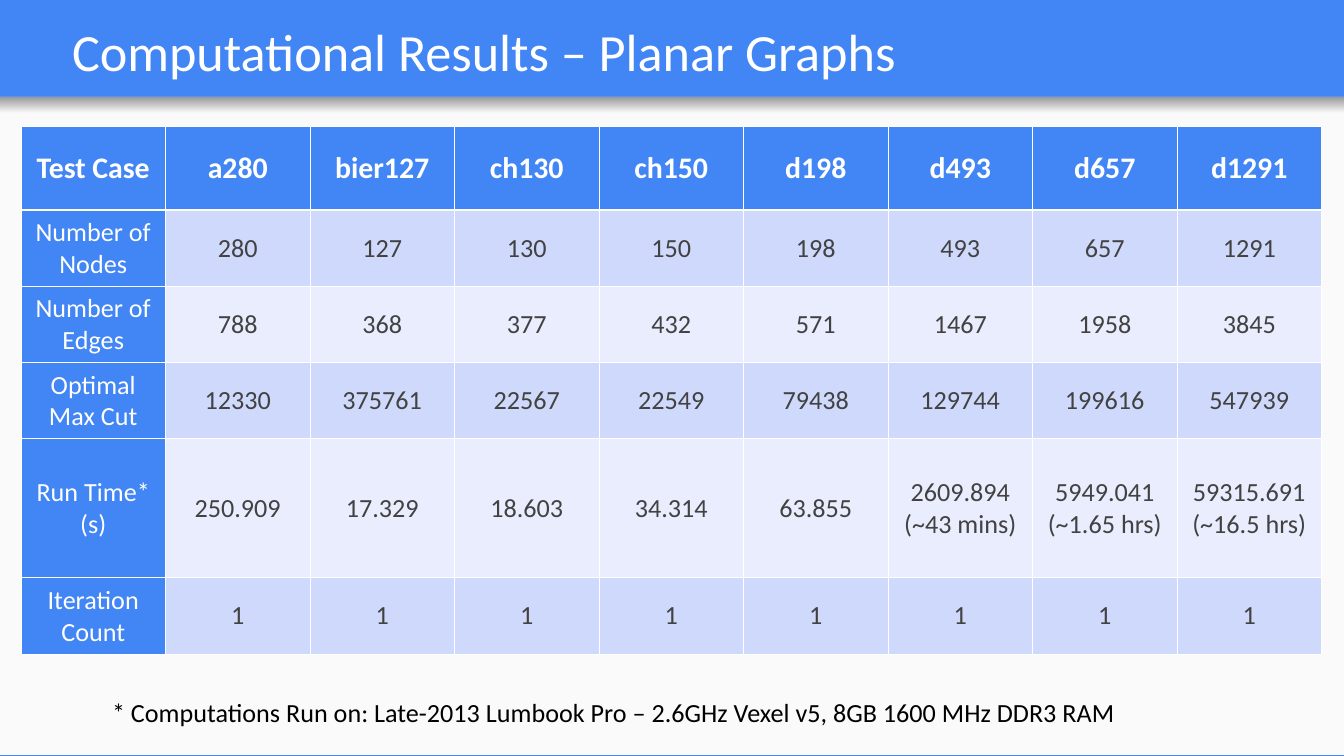
from dataclasses import dataclass
from pptx import Presentation
from pptx.dml.color import RGBColor
from pptx.enum.shapes import MSO_SHAPE
from pptx.enum.text import MSO_ANCHOR, PP_ALIGN
from pptx.oxml.ns import qn
from pptx.util import Pt
from lxml.etree import SubElement

WIDTH, HEIGHT = 1344, 756
SCALE = 9144000 / WIDTH


@dataclass(frozen=True)
class Theme:
    font: str = "Calibri"
    blue: str = "4285F4"
    paper: str = "FAFAFA"
    shade_dark: str = "999999"
    shade_light: str = "F9F9F9"
    bands: tuple = ("CFD9FB", "E9EDFD")
    white: str = "FFFFFF"
    black: str = "000000"
    value: str = "424242"
    title_size: int = 28
    header_size: int = 16
    body_size: int = 14
    rule: float = 0.45
    header_rule: float = 1.47


THEME = Theme()

RESULTS = [
    ["Test Case", "a280", "bier127", "ch130", "ch150", "d198", "d493", "d657", "d1291"],
    ["Number of Nodes", "280", "127", "130", "150", "198", "493", "657", "1291"],
    ["Number of Edges", "788", "368", "377", "432", "571", "1467", "1958", "3845"],
    ["Optimal Max Cut", "12330", "375761", "22567", "22549", "79438", "129744",
     "199616", "547939"],
    ["Run Time* (s)", "250.909", "17.329", "18.603", "34.314", "63.855",
     "2609.894\n(~43 mins)", "5949.041\n(~1.65 hrs)", "59315.691\n(~16.5 hrs)"],
    ["Iteration Count"] + ["1"] * 8,
]
ROW_HEIGHTS = [84, 76, 76, 76, 139, 76]


def px(length):
    return round(length * SCALE)


def paint(fill, color):
    fill.solid()
    fill.fore_color.rgb = RGBColor.from_string(color)


def write(frame, text, *, size, color, bold=False, align=PP_ALIGN.LEFT):
    for index, line in enumerate(text.split("\n")):
        paragraph = frame.add_paragraph() if index else frame.paragraphs[0]
        paragraph.alignment = align
        run = paragraph.add_run()
        run.text = line
        run.font.name = THEME.font
        run.font.size = Pt(size)
        run.font.bold = bold
        run.font.color.rgb = RGBColor.from_string(color)


def add_band(slide, left, top, width, height):
    band = slide.shapes.add_shape(MSO_SHAPE.RECTANGLE, px(left), px(top), px(width), px(height))
    band.shadow.inherit = False
    band.line.fill.background()
    return band


def add_label(slide, left, top, width, height, text, *, anchor, inset, **text_format):
    label = slide.shapes.add_textbox(px(left), px(top), px(width), px(height))
    frame = label.text_frame
    frame.word_wrap = True
    frame.vertical_anchor = anchor
    frame.margin_left = frame.margin_right = px(13)
    frame.margin_top = frame.margin_bottom = px(inset)
    write(frame, text, **text_format)


def add_backdrop(slide, left, top, width, height):
    paint(slide.background.fill, THEME.blue)
    # Pale content area
    paint(add_band(slide, left, top, width, height).fill, THEME.paper)
    # Soft shade beneath the title bar
    shade = add_band(slide, left, top, width, 16).fill
    shade.gradient()
    shade.gradient_angle = 270
    for stop, color, position in zip(shade.gradient_stops,
                                     (THEME.shade_dark, THEME.shade_light), (0, 1)):
        stop.color.rgb = RGBColor.from_string(color)
        stop.position = position


def set_borders(cell, **widths):
    properties = cell._tc.get_or_add_tcPr()
    for index, side in enumerate("LRTB"):
        border = properties.makeelement(qn(f"a:ln{side}"),
                                        {"w": str(int(Pt(widths.get(side, THEME.rule))))})
        solid = SubElement(border, qn("a:solidFill"))
        SubElement(solid, qn("a:srgbClr"), val=THEME.white)
        properties.insert(index, border)


def add_results(slide, left, top, width, row_heights, results):
    columns = len(results[0])
    table = slide.shapes.add_table(len(results), columns, px(left), px(top),
                                   px(width), px(sum(row_heights))).table
    for column in table.columns:
        column.width = px(width / columns)
    for row, (height, entries) in enumerate(zip(row_heights, results)):
        table.rows[row].height = px(height)
        for column, entry in enumerate(entries):
            cell = table.cell(row, column)
            header = row == 0
            heading = header or column == 0
            cell.vertical_anchor = MSO_ANCHOR.MIDDLE
            paint(cell.fill, THEME.blue if heading else THEME.bands[(row - 1) % 2])
            write(cell.text_frame, entry, bold=header, align=PP_ALIGN.CENTER,
                  size=THEME.header_size if header else THEME.body_size,
                  color=THEME.white if heading else THEME.value)
            # The rule under the header is heavier
            set_borders(cell, **({"B": THEME.header_rule} if header
                                 else {"T": THEME.header_rule} if row == 1 else {}))


def main():
    deck = Presentation()
    deck.slide_width, deck.slide_height = px(WIDTH), px(HEIGHT)
    slide = deck.slides.add_slide(deck.slide_layouts[6])

    add_backdrop(slide, 0, 97, WIDTH, HEIGHT - 98)
    # Title
    add_label(slide, 59, 0, 1185, 95, "Computational Results – Planar Graphs",
              anchor=MSO_ANCHOR.BOTTOM, inset=13,
              size=THEME.title_size, color=THEME.white)
    # Footnote on the run times
    add_label(slide, 99, 689, 1160, 46,
              "* Computations Run on: Late-2013 Lumbook Pro – 2.6GHz Vexel v5, "
              "8GB 1600 MHz DDR3 RAM",
              anchor=MSO_ANCHOR.TOP, inset=7,
              size=THEME.body_size, color=THEME.black)
    # Results table
    add_results(slide, 21, 126, 1301, ROW_HEIGHTS, RESULTS)

    deck.save("out.pptx")


if __name__ == "__main__":
    main()
